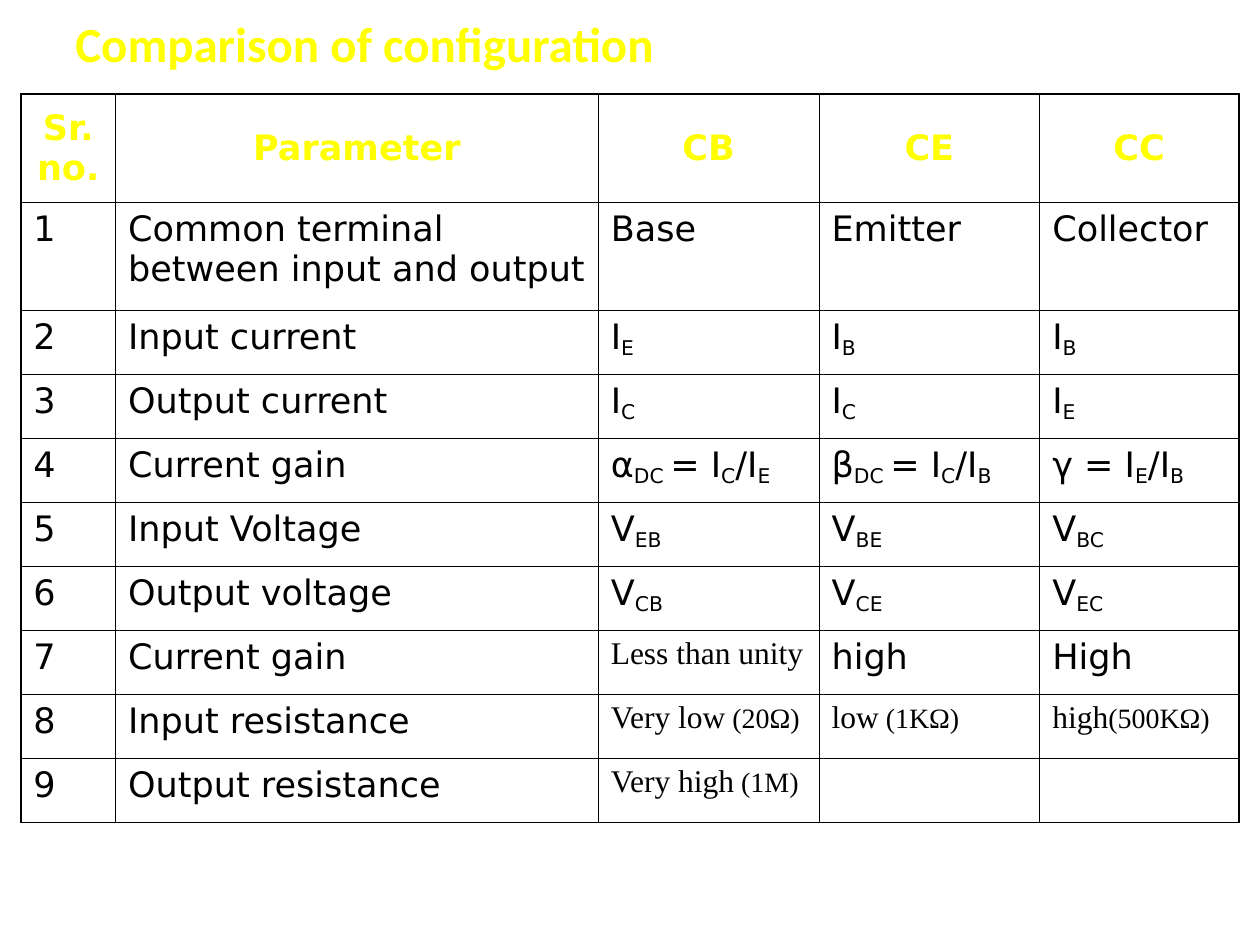
from lxml import etree
from pptx import Presentation
from pptx.dml.color import RGBColor
from pptx.enum.text import MSO_ANCHOR, PP_ALIGN
from pptx.oxml.ns import qn
from pptx.util import Cm, Pt

MIDDLE, TOP = MSO_ANCHOR.MIDDLE, MSO_ANCHOR.TOP
CENTER, LEFT = PP_ALIGN.CENTER, PP_ALIGN.LEFT

YELLOW = RGBColor(0xFF, 0xFF, 0x00)
BLACK = RGBColor(0x00, 0x00, 0x00)

TITLE = {"name": "Calibri", "size": Pt(28), "bold": True}
HEADER = {"name": "DejaVu Sans", "size": Pt(20), "bold": True}
BODY = {"name": "DejaVu Sans", "size": Pt(20), "bold": False}
SERIF = {"name": "Times New Roman", "size": Pt(18), "bold": False}
SERIF_SMALL = {**SERIF, "size": Pt(16)}

INNER_LINE, OUTER_LINE = Pt(0.45), Pt(1.08)
COL_WIDTHS = [1.91, 9.73, 4.45, 4.45, 4.01]
ROW_HEIGHTS = [2.18] * 2 + [1.29] * 8

# Every second part between bars is a subscript, or small print in a serif cell.
ROWS = [
    ["Sr.no.", "Parameter", "CB", "CE", "CC"],
    ["1", "Common terminal between input and output", "Base", "Emitter", "Collector"],
    ["2", "Input current", "I|E", "I|B", "I|B"],
    ["3", "Output current", "I|C", "I|C", "I|E"],
    ["4", "Current gain", "α|DC |= I|C|/I|E", "β|DC |= I|C|/I|B", "γ = I|E|/I|B"],
    ["5", "Input Voltage", "V|EB", "V|BE", "V|BC"],
    ["6", "Output voltage", "V|CB", "V|CE", "V|EC"],
    ["7", "Current gain", "Less than unity", "high", "High"],
    ["8", "Input resistance", "Very low| (20Ω)", "low| (1KΩ)", "high|(500KΩ)"],
    ["9", "Output resistance", "Very high| (1M)", "", ""],
]
SERIF_CELLS = {(7, 2), (8, 2), (8, 3), (8, 4), (9, 2)}


def add_run(p, text, font, color):
    r = p.add_run()
    r.text = text
    for name, value in font.items():
        setattr(r.font, name, value)
    r.font.color.rgb = color
    return r


def add_title(slide, text):
    sp = slide.shapes.add_textbox(Cm(1.27), Cm(0.2), Cm(22.86), Cm(1.35))
    tf = sp.text_frame
    tf.word_wrap = True
    tf.vertical_anchor = MIDDLE
    add_run(tf.paragraphs[0], text, TITLE, YELLOW)


def set_borders(cell, widths):
    """Draw black borders; widths maps a side (L, R, T, B) to a line width."""
    tc_pr = cell._tc.get_or_add_tcPr()
    for side, width in widths.items():
        ln = etree.SubElement(tc_pr, qn(f"a:ln{side}"), w=str(int(width)))
        fill = etree.SubElement(ln, qn("a:solidFill"))
        etree.SubElement(fill, qn("a:srgbClr"), val=str(BLACK))


def fill_cell(cell, text, row, col):
    header, serif = row == 0, (row, col) in SERIF_CELLS
    cell.vertical_anchor = MIDDLE if header else TOP
    p = cell.text_frame.paragraphs[0]
    p.alignment = CENTER if header else LEFT
    font = HEADER if header else SERIF if serif else BODY
    for i, part in enumerate(text.split("|") if text else []):
        second = i % 2 == 1
        r = add_run(p, part, SERIF_SMALL if serif and second else font,
                    YELLOW if header else BLACK)
        if second and not serif:
            r.font._element.set("baseline", "-18000")


def add_comparison_table(slide):
    n_rows, n_cols = len(ROWS), len(COL_WIDTHS)
    table = slide.shapes.add_table(
        n_rows, n_cols, Cm(0.42), Cm(1.9),
        Cm(sum(COL_WIDTHS)), Cm(sum(ROW_HEIGHTS))).table
    table.first_row = table.horz_banding = False
    for column, width in zip(table.columns, COL_WIDTHS):
        column.width = Cm(width)
    for row, height in zip(table.rows, ROW_HEIGHTS):
        row.height = Cm(height)
    for i, texts in enumerate(ROWS):
        for j, text in enumerate(texts):
            cell = table.cell(i, j)
            edges = {"L": j == 0, "R": j == n_cols - 1,
                     "T": i == 0, "B": i == n_rows - 1}
            set_borders(cell, {side: OUTER_LINE if outer else INNER_LINE
                               for side, outer in edges.items()})
            cell.fill.background()
            fill_cell(cell, text, i, j)


def main():
    prs = Presentation()
    prs.slide_width, prs.slide_height = Cm(25.4), Cm(19.05)
    slide = prs.slides.add_slide(prs.slide_layouts[6])
    add_title(slide, "Comparison of configuration")
    add_comparison_table(slide)
    prs.save("out.pptx")


if __name__ == "__main__":
    main()
